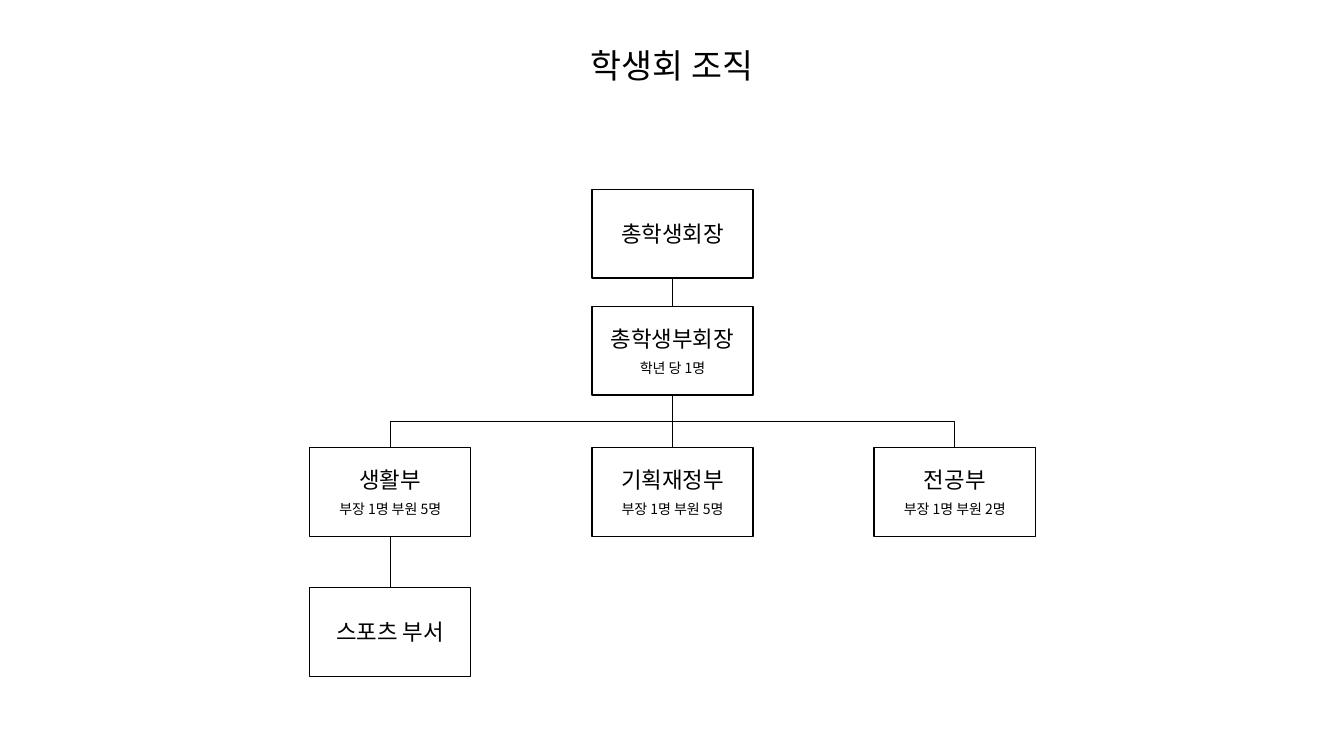
"""Build the student council organisation chart slide."""
import dataclasses

import lxml.etree
import pptx
import pptx.dml.color
import pptx.enum.shapes
import pptx.enum.text
import pptx.oxml.ns
import pptx.util

PX = 9144
ANCHOR = pptx.enum.text.MSO_ANCHOR
KIND = pptx.enum.shapes.MSO_CONNECTOR
BOX_W, BOX_H = 160, 88
MID, PITCH = 587, 280
NOTE_DROP, NOTE_H = 48, 27


@dataclasses.dataclass(frozen=True)
class Theme:
    """Colours, type sizes and line widths of the slide."""
    ink: str = "000000"
    paper: str = "FFFFFF"
    face: str = "Noto Sans CJK KR"
    title: int = 24
    name: int = 16
    note: int = 10
    edge: float = 1
    link: float = 0.5


THEME = Theme()


def px(*sizes):
    """Turn px lengths into EMU."""
    return [pptx.util.Emu(size * PX) for size in sizes]


def color(code):
    """Return the colour for a hex code."""
    return pptx.dml.color.RGBColor.from_string(code)


def apply(item, values):
    """Set each attribute named in a dict."""
    for key, value in values.items():
        setattr(item, key, value)


def stroke(line, width):
    """Give a line its ink and width."""
    line.color.rgb = color(THEME.ink)
    line.width = pptx.util.Pt(width)


def write(frame, words, size, spacing=None, **layout):
    """Put one centred line of text in a frame."""
    apply(frame, layout)
    para = frame.paragraphs[0]
    apply(para, {"alignment": pptx.enum.text.PP_ALIGN.CENTER,
                 "line_spacing": spacing})
    run = para.add_run()
    run.text = words
    apply(run.font, {"size": pptx.util.Pt(size), "name": THEME.face})
    run.font.color.rgb = color(THEME.ink)
    asian = lxml.etree.SubElement(run.font._element, pptx.oxml.ns.qn("a:ea"))
    asian.set("typeface", THEME.face)


def label(slide, spot, words, size, wrap=True):
    """Add a text box that grows with its text."""
    frame = slide.shapes.add_textbox(*px(*spot)).text_frame
    write(frame, words, size, word_wrap=wrap,
          auto_size=pptx.enum.text.MSO_AUTO_SIZE.SHAPE_TO_FIT_TEXT)


def box(slide, left, top, words, raised):
    """Add a bordered box with a name, raised to leave room for a note."""
    shape = slide.shapes.add_shape(
        pptx.enum.shapes.MSO_SHAPE.RECTANGLE, *px(left, top, BOX_W, BOX_H))
    shape.shadow.inherit = False
    shape.fill.solid()
    shape.fill.fore_color.rgb = color(THEME.paper)
    stroke(shape.line, THEME.edge)
    write(shape.text_frame, words, THEME.name, 1.5 if raised else None,
          vertical_anchor=ANCHOR.TOP if raised else ANCHOR.MIDDLE)
    return shape


def link(slide, upper, lower):
    """Join the foot of one box to the top of another."""
    shift = lower.left - upper.left
    kind = KIND.ELBOW if shift else KIND.STRAIGHT
    line = slide.shapes.add_connector(kind, 0, 0, 0, 0)
    line.begin_connect(upper, 2)
    line.end_connect(lower, 0)
    stroke(line.line, THEME.link)
    props = line.element.spPr
    lxml.etree.SubElement(props, pptx.oxml.ns.qn("a:effectLst"))
    if shift:
        turn(line, props.find(pptx.oxml.ns.qn("a:xfrm")), shift)


def turn(line, frame, shift):
    """Rotate an elbow so that it leaves downwards."""
    wide, high = line.width, line.height
    apply(line, {"left": line.left + (wide - high) // 2,
                 "top": line.top + (high - wide) // 2,
                 "width": high, "height": wide})
    frame.set("rot", str((270 if shift > 0 else 90) * 60000))
    frame.set("flipH", "1" if shift > 0 else "0")


def main():
    """Draw the chart and save it."""
    deck = pptx.Presentation()
    apply(deck, dict(zip(("slide_width", "slide_height"), px(1333, 750))))
    slide = deck.slides.add_slide(deck.slide_layouts[6])
    label(slide, (573, 40, 187, 50), "학생회 조직", THEME.title, wrap=False)
    units = {
        "head": (0, 188, "총학생회장", ""),
        "vice": (0, 304, "총학생부회장", "학년 당 1명"),
        "life": (-1, 444, "생활부", "부장 1명 부원 5명"),
        "plan": (0, 444, "기획재정부", "부장 1명 부원 5명"),
        "major": (1, 444, "전공부", "부장 1명 부원 2명"),
        "sport": (-1, 583, "스포츠 부서", ""),
    }
    boxes = {}
    for key, (col, top, words, note) in units.items():
        left = MID + col * PITCH
        boxes[key] = box(slide, left, top, words, bool(note))
        if note:
            label(slide, (left, top + NOTE_DROP, BOX_W, NOTE_H),
                  note, THEME.note)
    for upper, lower in (("head", "vice"), ("vice", "life"), ("vice", "plan"),
                         ("vice", "major"), ("life", "sport")):
        link(slide, boxes[upper], boxes[lower])
    deck.save("out.pptx")


if __name__ == "__main__":
    main()
